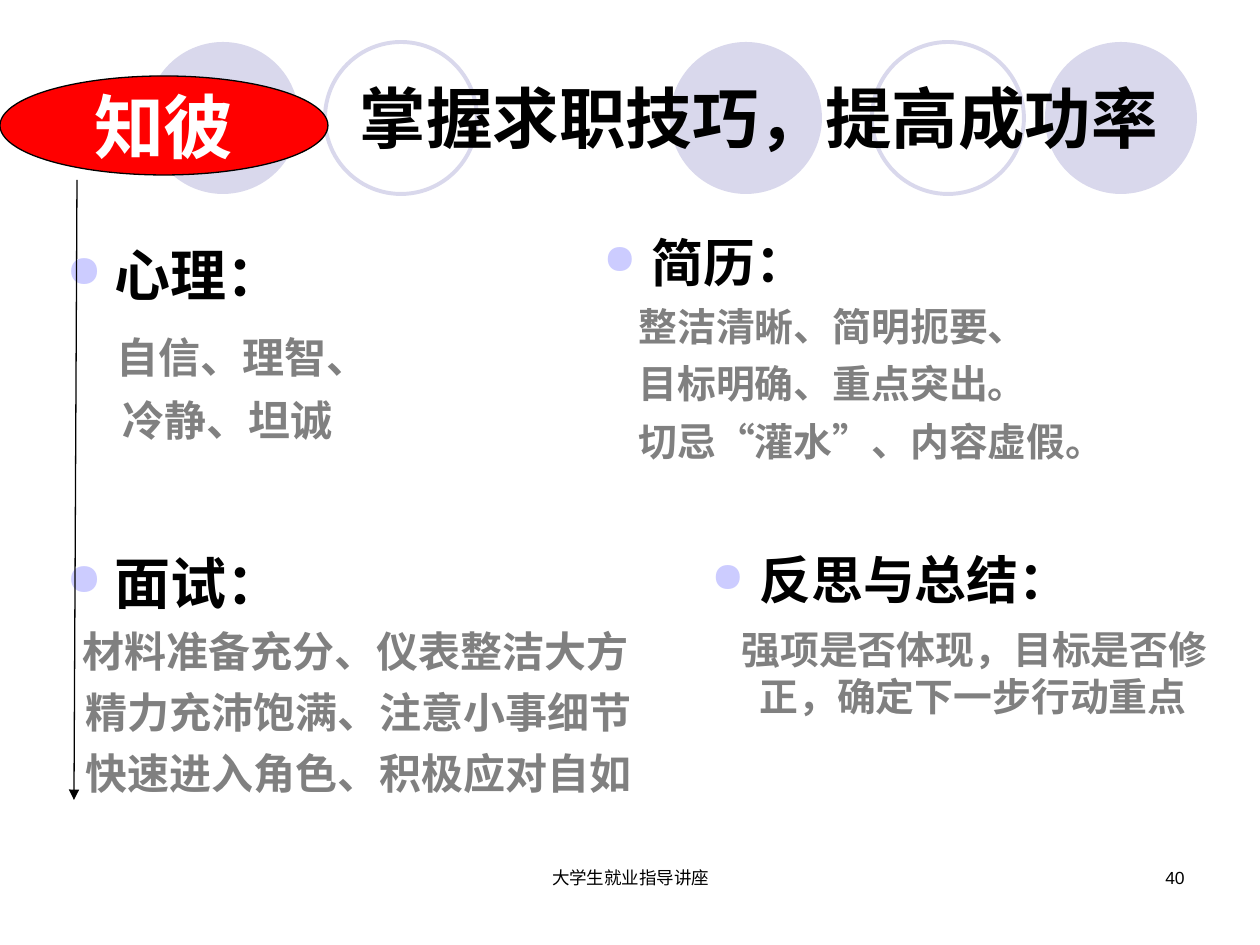
"""Build the slide on job-hunting skills."""
from lxml.etree import SubElement
from pptx import Presentation
from pptx.dml.color import RGBColor
from pptx.enum.lang import MSO_LANGUAGE_ID
from pptx.enum.shapes import MSO_CONNECTOR, MSO_SHAPE
from pptx.enum.text import MSO_ANCHOR, MSO_AUTO_SIZE, PP_ALIGN
from pptx.oxml.ns import qn
from pptx.util import Emu, Pt

PX = 914400 / 126
BLACK, GRAY, LILAC = "000000", "808080", "D9D8EC"


def box(*vals):
    return [Emu(round(v * PX)) for v in vals]


def write(para, text, size, color=BLACK, bold=True):
    run = para.add_run()
    run.text = text
    font = run.font
    font.name, font.size, font.bold = "Arial", Pt(size), bold
    font.color.rgb = RGBColor.from_string(color)
    font.language_id = MSO_LANGUAGE_ID.SIMPLIFIED_CHINESE


deck = Presentation()
deck.slide_width, deck.slide_height = box(1260, 945)
slide = deck.slides.add_slide(deck.slide_layouts[5])
shapes = slide.shapes

discs = [(670, 42, True), (1045, 42, True), (147, 42, True),
         (872, 42, False), (325, 42, False)]
for left, top, solid in discs:
    disc = shapes.add_shape(MSO_SHAPE.OVAL, *box(left, top, 152, 152))
    disc.shadow.inherit = False
    if solid:
        disc.fill.solid()
        disc.fill.fore_color.rgb = RGBColor.from_string(LILAC)
        disc.line.fill.background()
    else:
        disc.fill.background()
        disc.line.color.rgb = RGBColor.from_string(LILAC)
        disc.line.width = Pt(2.25)

title = shapes.title
title.left, title.top, title.width, title.height = box(302, 38, 895, 158)
title._element.getparent().append(title._element)
frame = title.text_frame
frame.auto_size = MSO_AUTO_SIZE.NONE
frame.vertical_anchor = MSO_ANCHOR.MIDDLE
para = frame.paragraphs[0]
para.alignment = PP_ALIGN.LEFT
props = para._p.get_or_add_pPr()
props.set("marL", str(box(45)[0]))
props.set("indent", "0")
write(para, "掌握求职技巧，提高成功率", 38)

# Each line holds its text, left margin, first-line indent and space before.
topics = [
    ((54, 234, 427, 218), "心理：", 32, 24,
     [("自信、理智、", 50, 0, 14), ("冷静、坦诚", 56, 0, 7)]),
    ((591, 224, 595, 307), "简历：", 29.6, 22.2,
     [("整洁清晰、简明扼要、", 35, 0, 6), ("目标明确、重点突出。", 35, 0, 6),
      ("切忌“灌水”、内容虚假。", 35, 0, 6)]),
    ((54, 542, 615, 277), "面试：", 32, 24,
     [("材料准备充分、仪表整洁大方", 16, 0, 6),
      ("精力充沛饱满、注意小事细节", 19, 0, 6),
      ("快速进入角色、积极应对自如", 19, 0, 6)]),
    ((699, 542, 527, 237), "反思与总结：", 29.6, 22.2,
     [("强项是否体现，目标是否修正，确定下一步行动重点", 48, -18, 9)]),
]
for place, head, big, small, lines in topics:
    frame = shapes.add_textbox(*box(*place)).text_frame
    frame.word_wrap = True
    para = frame.paragraphs[0]
    props = para._p.get_or_add_pPr()
    props.set("marL", str(box(48)[0]))
    props.set("indent", str(box(-48)[0]))
    tint = SubElement(props, qn("a:buClr"))
    SubElement(tint, qn("a:srgbClr"), val="CCCCFF")
    SubElement(props, qn("a:buSzPct"), val="80000")
    SubElement(props, qn("a:buChar"), char="●")
    write(para, head, big)
    for text, left, first, gap in lines:
        para = frame.add_paragraph()
        props = para._p.get_or_add_pPr()
        props.set("marL", str(box(left)[0]))
        props.set("indent", str(box(first)[0]))
        para.space_before = Pt(gap)
        write(para, text, small, GRAY)

badge = shapes.add_shape(MSO_SHAPE.OVAL, *box(0, 76, 328, 99))
badge.shadow.inherit = False
badge.fill.solid()
badge.fill.fore_color.rgb = RGBColor.from_string("FF0000")
badge.line.color.rgb = RGBColor.from_string(BLACK)
badge.line.width = Pt(0.75)
frame = badge.text_frame
frame.word_wrap = False
frame.vertical_anchor = MSO_ANCHOR.MIDDLE
frame.paragraphs[0].alignment = PP_ALIGN.CENTER
write(frame.paragraphs[0], "知彼", 40, "FFFFFF")

arrow = shapes.add_connector(MSO_CONNECTOR.STRAIGHT, *box(77, 180, 74, 800))
arrow.line.color.rgb = RGBColor.from_string(BLACK)
arrow.line.width = Pt(0.75)
SubElement(arrow.line._get_or_add_ln(), qn("a:tailEnd"), type="triangle")
SubElement(arrow._element.spPr, qn("a:effectLst"))

notes = [((431, 861, 399, 63), "大学生就业指导讲座", PP_ALIGN.CENTER),
         ((903, 861, 294, 63), "40", PP_ALIGN.RIGHT)]
for place, text, align in notes:
    frame = shapes.add_textbox(*box(*place)).text_frame
    frame.word_wrap = True
    frame.paragraphs[0].alignment = align
    write(frame.paragraphs[0], text, 10, bold=False)

deck.save("out.pptx")
